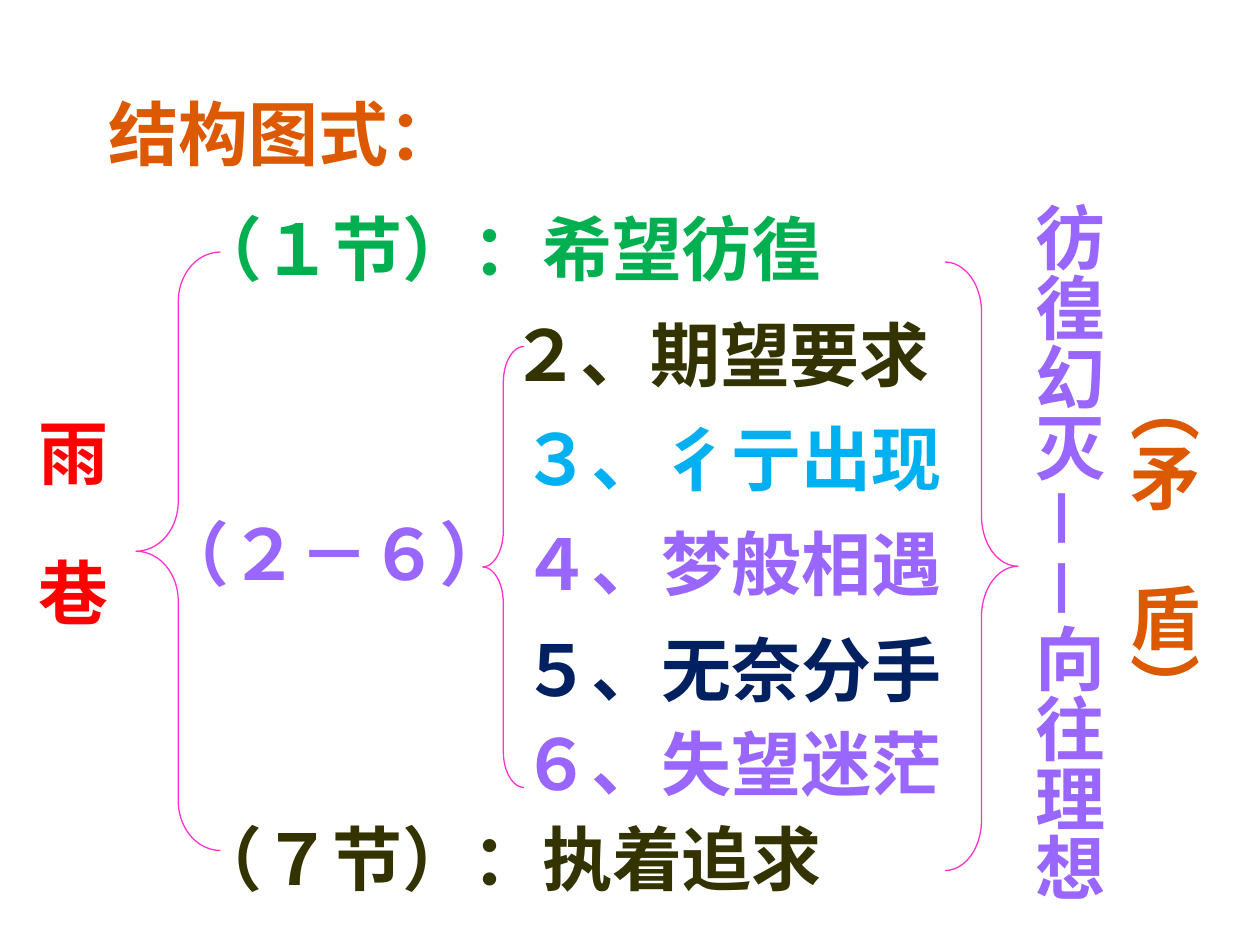
import pptx
import pptx.dml.color
import pptx.enum.shapes
import pptx.enum.text
import pptx.util
from pptx.util import Inches

COLORS = {
    "orange": "DC5900",
    "green": "00B050",
    "violet": "9966FF",
    "olive": "333300",
    "sky": "00B0F0",
    "navy": "002060",
    "red": "FF0000",
    "pink": "FF33CC",
}
ROW_HEIGHT = 0.77
COLUMN_WIDTH = 0.86

deck = pptx.Presentation()
deck.slide_width, deck.slide_height = Inches(10), Inches(7.5)
page = deck.slides.add_slide(deck.slide_layouts[6])


def add_text(text, *, left, top, width, height, color, vertical=False, wrap=False):
    """Add a centred label with no margin along its reading direction, so it stays on one line."""
    box = page.shapes.add_textbox(Inches(left), Inches(top), Inches(width), Inches(height))
    frame = box.text_frame
    frame.word_wrap = wrap
    frame.auto_size = pptx.enum.text.MSO_AUTO_SIZE.SHAPE_TO_FIT_TEXT
    if vertical:
        frame._txBody.bodyPr.set("vert", "eaVert")
        frame.margin_left = frame.margin_right = Inches(0.05)
        frame.margin_top = frame.margin_bottom = 0
    else:
        frame.margin_left = frame.margin_right = 0
    para = frame.paragraphs[0]
    para.alignment = pptx.enum.text.PP_ALIGN.CENTER
    span = para.add_run()
    span.text = text
    span.font.name = "Arial"
    span.font.size = pptx.util.Pt(40)
    span.font.bold = True
    span.font.color.rgb = pptx.dml.color.RGBColor.from_string(COLORS[color])


# Braces: kind, left, top, width, height, curve radius relative to width
brace_kinds = pptx.enum.shapes.MSO_SHAPE
for kind, left, top, width, height, curve in [
    (brace_kinds.LEFT_BRACE, 1.08, 2, 0.67, 4.75, 0.59),
    (brace_kinds.LEFT_BRACE, 3.83, 2.75, 0.33, 3.5, 0.87),
    (brace_kinds.RIGHT_BRACE, 7.5, 2.08, 0.58, 4.83, 0.69),
]:
    brace = page.shapes.add_shape(kind, Inches(left), Inches(top), Inches(width), Inches(height))
    brace.adjustments[0] = curve
    brace.shadow.inherit = False
    brace.fill.background()
    brace.line.color.rgb = pptx.dml.color.RGBColor.from_string(COLORS["pink"])
    brace.line.width = pptx.util.Pt(0.75)

add_text("结构图式：", left=0.67, top=0.67, width=3.16, height=ROW_HEIGHT,
         color="orange", wrap=True)

# Stanza groups and the stanzas within the middle group
for text, left, top, width, color in [
    ("（１节）：希望彷徨", 1.43, 1.58, 5.19, "green"),
    ("（２－６）", 1.17, 4, 2.97, "violet"),
    ("（７节）：执着追求", 1.43, 6.42, 5.19, "olive"),
    ("２、期望要求", 3.95, 2.42, 3.53, "olive"),
    ("３、彳亍出现", 4.04, 3.25, 3.53, "sky"),
    ("４、梦般相遇", 4.04, 4.08, 3.53, "violet"),
    ("５、无奈分手", 4.04, 4.92, 3.53, "navy"),
    ("６、失望迷茫", 4.04, 5.67, 3.53, "violet"),
]:
    add_text(text, left=left, top=top, width=width, height=ROW_HEIGHT, color=color)

# Vertical columns: theme, tension and poem title
for text, left, top, height, color in [
    ("彷徨幻灭－－向往理想", 8, 1.61, 5.65, "violet"),
    ("（矛　盾）", 8.75, 2.96, 2.88, "orange"),
    ("雨　巷", 0.09, 3.32, 1.77, "red"),
]:
    add_text(text, left=left, top=top, width=COLUMN_WIDTH, height=height,
             color=color, vertical=True)

deck.save("out.pptx")
